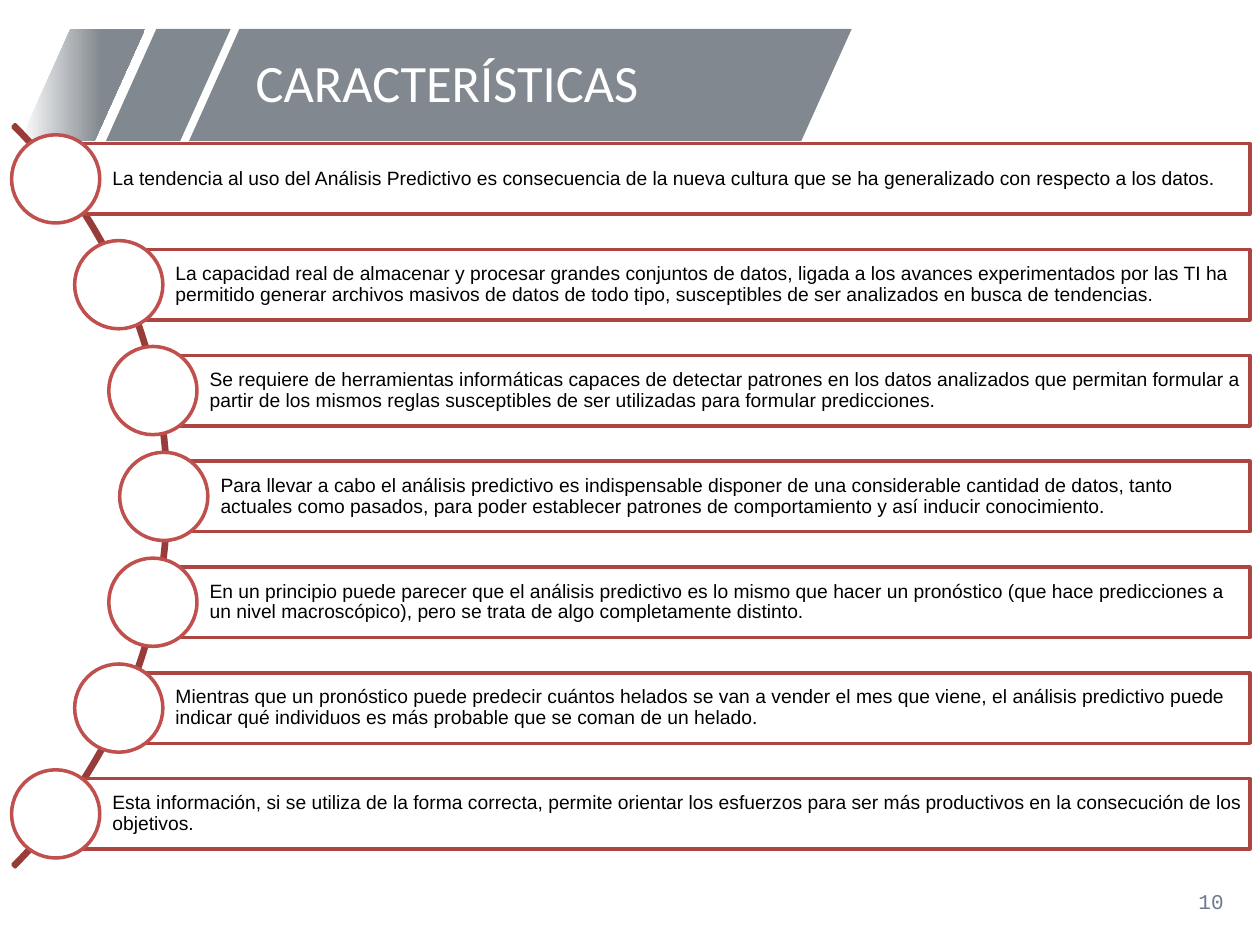
from math import sqrt

from pptx import Presentation
from pptx.dml.color import RGBColor
from pptx.enum.shapes import MSO_SHAPE as Shape
from pptx.enum.text import MSO_ANCHOR as Anchor, PP_ALIGN as Align
from pptx.util import Inches, Pt

WHITE = RGBColor(0xFF, 0xFF, 0xFF)
BLACK = RGBColor(0x00, 0x00, 0x00)
GREY = RGBColor(0x81, 0x88, 0x8F)
LIGHT_GREY = RGBColor(0x81, 0x89, 0x90)
SLATE = RGBColor(0x6C, 0x7A, 0x8A)
ARC_RED = RGBColor(0x98, 0x3C, 0x3A)
BAR_RED = RGBColor(0xAD, 0x46, 0x43)
CIRCLE_RED = RGBColor(0xBF, 0x50, 0x4D)

FEATURES = [
    "La tendencia al uso del Análisis Predictivo es consecuencia de la nueva cultura "
    "que se ha generalizado con respecto a los datos.",
    "La capacidad real de almacenar y procesar grandes conjuntos de datos, ligada a los "
    "avances experimentados por las TI ha permitido generar archivos masivos de datos de "
    "todo tipo, susceptibles de ser analizados en busca de tendencias.",
    "Se requiere de herramientas informáticas capaces de detectar patrones en los datos "
    "analizados que permitan formular a partir de los mismos reglas susceptibles de ser "
    "utilizadas para formular predicciones.",
    "Para llevar a cabo el análisis predictivo es indispensable disponer de una "
    "considerable cantidad de datos, tanto actuales como pasados, para poder establecer "
    "patrones de comportamiento y así inducir conocimiento.",
    "En un principio puede parecer que el análisis predictivo es lo mismo que hacer un "
    "pronóstico (que hace predicciones a un nivel macroscópico), pero se trata de algo "
    "completamente distinto.",
    "Mientras que un pronóstico puede predecir cuántos helados se van a vender el mes que "
    "viene, el análisis predictivo puede indicar qué individuos es más probable que se "
    "coman de un helado.",
    "Esta información, si se utiliza de la forma correcta, permite orientar los esfuerzos "
    "para ser más productivos en la consecución de los objetivos.",
]


class FeatureSlide:
    """Draws the banner, the arc and the feature rows on one slide."""

    line_width = Pt(2)
    bar_height = 0.56
    circle_size = 0.7
    right_edge = 9.92
    row_pitch = 0.84
    arc_x, arc_y, arc_radius = -2.83, 3.94, 4.13

    def __init__(self, deck):
        self.page = deck.slides.add_slide(deck.slide_layouts[6])

    def shape(self, kind, left, top, width, height, fill=None, line=None):
        item = self.page.shapes.add_shape(
            kind, Inches(left), Inches(top), Inches(width), Inches(height))
        item.shadow.inherit = False
        if fill is None:
            item.fill.background()
        else:
            item.fill.solid()
            item.fill.fore_color.rgb = fill
        if line is None:
            item.line.fill.background()
        else:
            item.line.color.rgb = line
            item.line.width = self.line_width
        return item

    def add_text(self, box, text, font, size, color, align=Align.LEFT, spacing=0.9,
                 insets=(0.1, 0.05, 0.1, 0.05)):
        frame = box.text_frame
        frame.word_wrap = True
        frame.vertical_anchor = Anchor.MIDDLE
        (frame.margin_left, frame.margin_top,
         frame.margin_right, frame.margin_bottom) = map(Inches, insets)
        para = frame.paragraphs[0]
        para.alignment = align
        para.line_spacing = spacing
        span = para.add_run()
        span.text = text
        span.font.name = font
        span.font.size = Pt(size)
        span.font.color.rgb = color

    def label(self, left, top, width, height, *style, **options):
        box = self.page.shapes.add_textbox(
            Inches(left), Inches(top), Inches(width), Inches(height))
        self.add_text(box, *style, **options)

    def band(self, left, width, color, fade=False):
        item = self.shape(Shape.PARALLELOGRAM, left, 0.23, width, 0.89, color)
        item.adjustments[0] = 0.45
        if fade:
            item.fill.gradient()
            item.fill.gradient_angle = 0
            start, end = item.fill.gradient_stops
            start.color.rgb, start.position = WHITE, 0
            end.color.rgb, end.position = color, 0.65

    def arc(self):
        item = self.shape(Shape.BLOCK_ARC, -6.99, -0.23, 8.33, 8.33, line=ARC_RED)
        for index, value in enumerate((189, 27, 0.003)):
            item.adjustments[index] = value

    def feature(self, offset, text):
        drop = offset * self.row_pitch
        x = self.arc_x + sqrt(self.arc_radius ** 2 - drop ** 2)
        y = self.arc_y + drop
        bar = self.shape(Shape.RECTANGLE, x, y - self.bar_height / 2,
                         self.right_edge - x, self.bar_height, WHITE, BAR_RED)
        self.add_text(bar, text, "Arial", 11, BLACK, insets=(0.45, 0.03, 0.03, 0.03))
        radius = self.circle_size / 2
        self.shape(Shape.OVAL, x - radius, y - radius,
                   self.circle_size, self.circle_size, WHITE, CIRCLE_RED)


def main():
    deck = Presentation()
    deck.slide_width, deck.slide_height = Inches(10), Inches(7.5)
    slide = FeatureSlide(deck)
    slide.band(1.5, 5.26, GREY)
    slide.band(0.84, 0.99, LIGHT_GREY)
    slide.band(0.16, 0.99, GREY, fade=True)
    slide.label(7.56, 6.95, 2.25, 0.4, "10", "Courier New", 12, SLATE,
                align=Align.RIGHT, spacing=1.0)
    slide.label(1.93, 0.23, 4.69, 0.89, "CARACTERÍSTICAS", "Calibri", 30, WHITE)
    slide.arc()
    for index, text in enumerate(FEATURES):
        slide.feature(index - len(FEATURES) // 2, text)
    deck.save("out.pptx")


if __name__ == "__main__":
    main()
